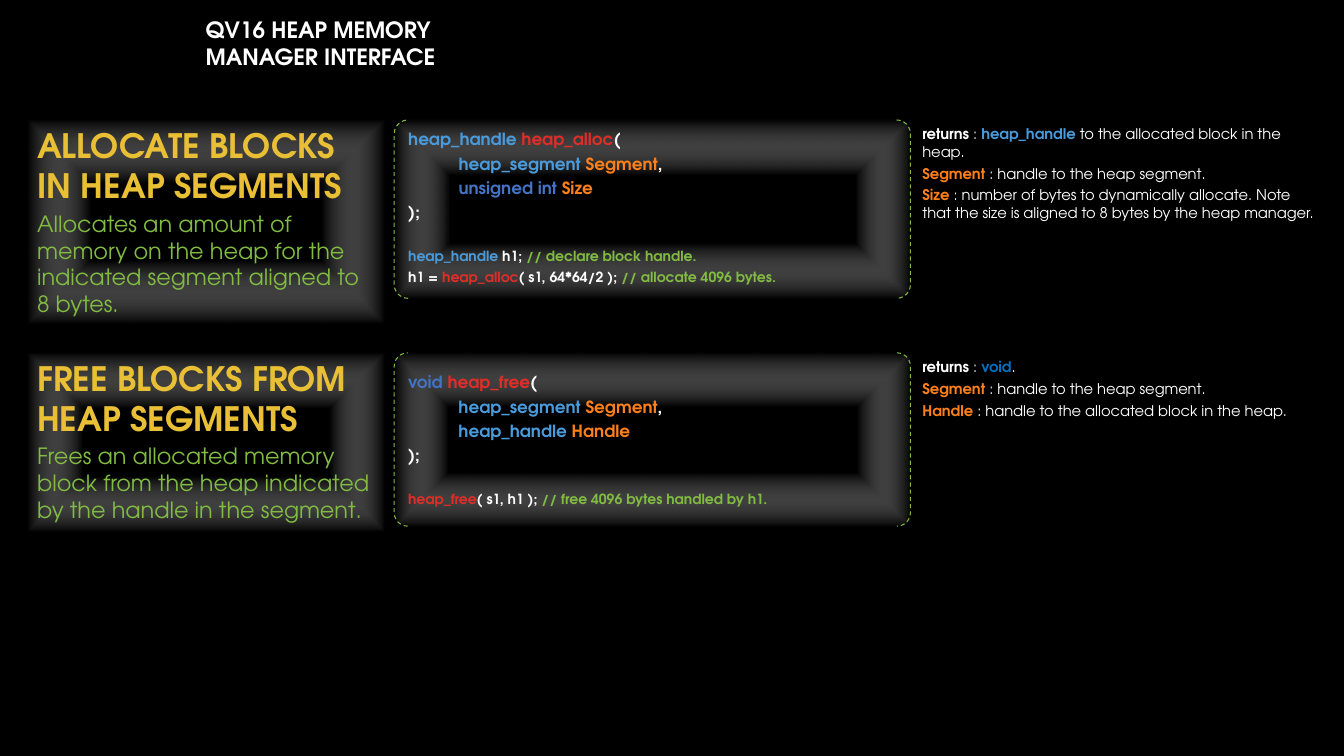
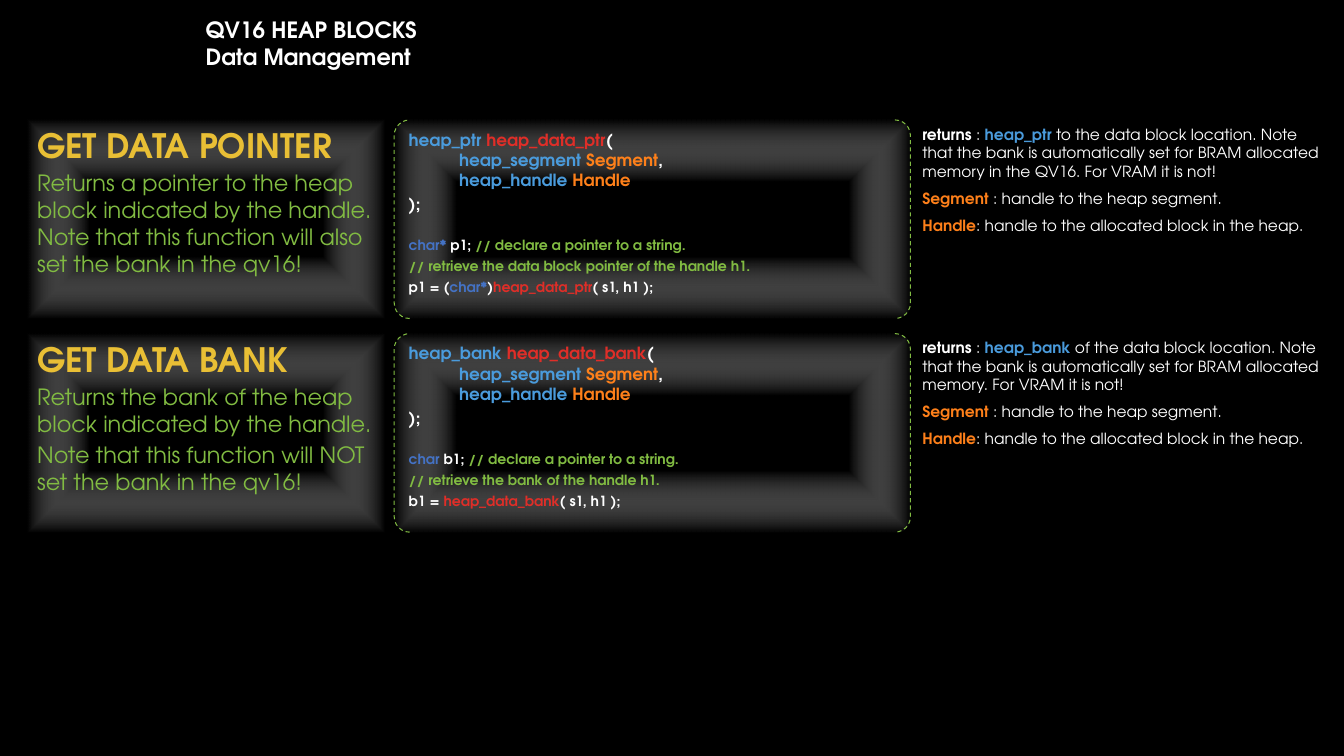
from dataclasses import dataclass

from pptx import Presentation
from pptx.dml.color import RGBColor
from pptx.enum.dml import MSO_LINE
from pptx.enum.shapes import MSO_SHAPE as SHAPE
from pptx.enum.text import MSO_ANCHOR as ANCHOR, MSO_AUTO_SIZE as AUTO_SIZE, PP_ALIGN as ALIGN
from pptx.oxml import parse_xml
from pptx.oxml.ns import nsdecls, qn
from pptx.util import Inches, Pt

FONT = "TeX Gyre Adventor"
BLACK, WHITE = "000000", "FFFFFF"
GOLD, GREEN, RED, ORANGE = "E9BF35", "81BB42", "DF2E28", "FE801A"
SKY, INDIGO, BLUE = "4A9BDC", "4472C4", "0070C0"

PANEL_LEFT, PANEL_WIDTH = 0.27, 3.54
CODE_LEFT, CODE_WIDTH = 3.91, 5.12
NOTES_LEFT, NOTES_WIDTH = 9.05, 4.16
FIRST_TOP = 1.19

GLOW = f"""<a:gradFill {nsdecls('a')} rotWithShape="1"><a:gsLst>
<a:gs pos="37000"><a:srgbClr val="{BLACK}"/></a:gs>
<a:gs pos="100000"><a:srgbClr val="{WHITE}"><a:alpha val="0"/></a:srgbClr></a:gs>
</a:gsLst><a:path path="rect">
<a:fillToRect l="50000" t="50000" r="50000" b="50000"/>
</a:path></a:gradFill>"""


@dataclass
class Line:
    spans: list
    size: float
    bold: bool = True
    before: float = 3
    indent: float = 0


def colour(hex_code):
    return RGBColor.from_string(hex_code)


def write_lines(frame, lines):
    frame.word_wrap = True
    for index, line in enumerate(lines):
        para = frame.add_paragraph() if index else frame.paragraphs[0]
        para.alignment = ALIGN.LEFT
        para.space_before = Pt(line.before)
        para.font.name = FONT
        para.font.size = Pt(line.size)
        para.font.bold = line.bold
        if line.indent:
            para._p.get_or_add_pPr().set("marL", str(Inches(line.indent)))
        for text, shade, *weight in line.spans:
            span = para.add_run()
            span.text = text
            span.font.color.rgb = colour(shade)
            if weight:
                span.font.bold = weight[0]


def add_title(page, width, *texts):
    title = page.shapes.title
    title.left, title.top = Inches(1.94), Inches(0.11)
    title.width, title.height = Inches(width), Inches(0.64)
    frame = title.text_frame
    frame.auto_size = AUTO_SIZE.NONE
    frame.vertical_anchor = ANCHOR.TOP
    write_lines(frame, [Line([(text, WHITE)], 16, before=0) for text in texts])


def add_glow_box(page, kind, left, top, width, height, lines, anchor=ANCHOR.TOP):
    box = page.shapes.add_shape(kind, Inches(left), Inches(top), Inches(width), Inches(height))
    box.shadow.inherit = False
    box.fill.background()
    properties = box._element.spPr
    properties.replace(properties.find(qn("a:noFill")), parse_xml(GLOW))
    box.line.fill.background()
    box.text_frame.vertical_anchor = anchor
    write_lines(box.text_frame, lines)
    return box


def add_panel(page, top, height, heading, *descriptions):
    lines = [Line([(heading, GOLD)], 24)]
    lines += [Line([(text, GREEN)], 16, bold=False, before=before) for text, before in descriptions]
    add_glow_box(page, SHAPE.RECTANGLE, PANEL_LEFT, top, PANEL_WIDTH, height, lines)


def add_code(page, top, height, signature, example, anchor=ANCHOR.TOP):
    box = add_glow_box(page, SHAPE.DOUBLE_BRACKET, CODE_LEFT, top, CODE_WIDTH, height,
                       signature + example, anchor)
    box.adjustments[0] = 0.078
    box.line.color.rgb = colour(GREEN)
    box.line.width = Pt(0.75)
    box.line.dash_style = MSO_LINE.DASH


def add_notes(page, top, height, size, before, *notes):
    box = page.shapes.add_textbox(Inches(NOTES_LEFT), Inches(top), Inches(NOTES_WIDTH), Inches(height))
    box.text_frame.auto_size = AUTO_SIZE.SHAPE_TO_FIT_TEXT
    write_lines(box.text_frame, [Line(spans, size, before=before) for spans in notes])


def signature(result, function, parameters, before, result_colour=SKY):
    lines = [Line([(result + " ", result_colour), (function, RED), ("(", WHITE)], 12)]
    for index, (kind, name, shade) in enumerate(parameters):
        spans = [(kind + " ", shade), (name, ORANGE)]
        if index < len(parameters) - 1:
            spans.append((",", WHITE))
        lines.append(Line(spans, 12, before=before, indent=0.5))
    return lines + [Line([(");", WHITE)], 12)]


def example(gap, *statements):
    return [Line(spans, 10, before=3 if index else gap) for index, spans in enumerate(statements)]


def returns(kind, meaning, shade=SKY):
    return [("returns ", WHITE), (": ", WHITE, False), (kind, shade), (meaning, WHITE, False)]


def note(term, meaning):
    return [(term, ORANGE), (meaning, WHITE, False)]


SEGMENT = ("heap_segment", "Segment", SKY)
HANDLE = ("heap_handle", "Handle", SKY)
SEGMENT_NOTE = note("Segment ", ": handle to the heap segment.")
HANDLE_MEANING = ": handle to the allocated block in the heap."


def build_interface(page):
    add_title(page, 2.95, "QV16 HEAP MEMORY MANAGER INTERFACE")

    add_panel(page, FIRST_TOP, 2.02, "ALLOCATE BLOCKS IN HEAP SEGMENTS",
              ("Allocates an amount of memory on the heap for the indicated segment aligned to 8 bytes.", 3))
    add_code(page, FIRST_TOP, 1.77,
             signature("heap_handle", "heap_alloc", [SEGMENT, ("unsigned int", "Size", INDIGO)], 3),
             example(18,
                     [("heap_handle ", SKY), ("h1; ", WHITE), ("// declare block handle.", GREEN)],
                     [("h1 = ", WHITE), ("heap_alloc", RED), ("( s1, 64*64/2 ); ", WHITE),
                      ("// allocate 4096 bytes.", GREEN)]))
    add_notes(page, FIRST_TOP, 1.07, 10.5, 3,
              returns("heap_handle ", "to the allocated block in the heap."),
              SEGMENT_NOTE,
              note("Size ", ": number of bytes to dynamically allocate. "
                   "Note that the size is aligned to 8 bytes by the heap manager."))

    second_top = 3.5
    add_panel(page, second_top, 1.77, "FREE BLOCKS FROM HEAP SEGMENTS",
              ("Frees an allocated memory block from the heap indicated by the handle in the segment.", 3))
    add_code(page, second_top, 1.72,
             signature("void", "heap_free", [SEGMENT, HANDLE], 3, INDIGO),
             example(18, [("heap_free", RED), ("( s1, h1 ); ", WHITE),
                          ("// free 4096 bytes handled by h1.", GREEN)]),
             ANCHOR.MIDDLE)
    add_notes(page, second_top, 0.72, 10.5, 3,
              returns("void", ".", BLUE), SEGMENT_NOTE, note("Handle ", HANDLE_MEANING))


def add_data_entry(page, top, heading, descriptions, result, function, statements, meaning):
    height = 1.97
    add_panel(page, top, height, heading, *descriptions)
    add_code(page, top, height, signature(result, function, [SEGMENT, HANDLE], 0),
             example(16, *statements))
    add_notes(page, top, 1.19, 11, 6,
              returns(result + " ", meaning), SEGMENT_NOTE, note("Handle", HANDLE_MEANING))


def build_data_management(page):
    add_title(page, 2.36, "QV16 HEAP BLOCKS", "Data Management")
    declare = ("// declare a pointer to a string.", GREEN)
    call_end = ("( s1, h1 );", WHITE)

    add_data_entry(
        page, FIRST_TOP, "GET DATA POINTER",
        [("Returns a pointer to the heap block indicated by the handle.", 3),
         ("Note that this function will also set the bank in the qv16!", 0)],
        "heap_ptr", "heap_data_ptr",
        [[("char* ", INDIGO), ("p1; ", WHITE), declare],
         [("// retrieve the data block pointer of the handle h1.", GREEN)],
         [("p1 = (", WHITE), ("char*", INDIGO), (")", WHITE), ("heap_data_ptr", RED), call_end]],
        "to the data block location. Note that the bank is automatically set "
        "for BRAM allocated memory in the QV16. For VRAM it is not!")

    add_data_entry(
        page, 3.31, "GET DATA BANK",
        [("Returns the bank of the heap block indicated by the handle.", 3),
         ("Note that this function will NOT set the bank in the qv16!", 3)],
        "heap_bank", "heap_data_bank",
        [[("char ", INDIGO), ("b1; ", WHITE), declare],
         [("// retrieve the bank of the handle h1.", GREEN)],
         [("b1 = ", WHITE), ("heap_data_bank", RED), call_end]],
        "of the data block location. Note that the bank is automatically set "
        "for BRAM allocated memory. For VRAM it is not!")


def main():
    deck = Presentation()
    deck.slide_width, deck.slide_height = Inches(13.33), Inches(7.5)
    background = deck.slide_master.background.fill
    background.solid()
    background.fore_color.rgb = colour(BLACK)
    title_only = deck.slide_layouts.get_by_name("Title Only")
    for build in (build_interface, build_data_management):
        build(deck.slides.add_slide(title_only))
    deck.save("out.pptx")


if __name__ == "__main__":
    main()
